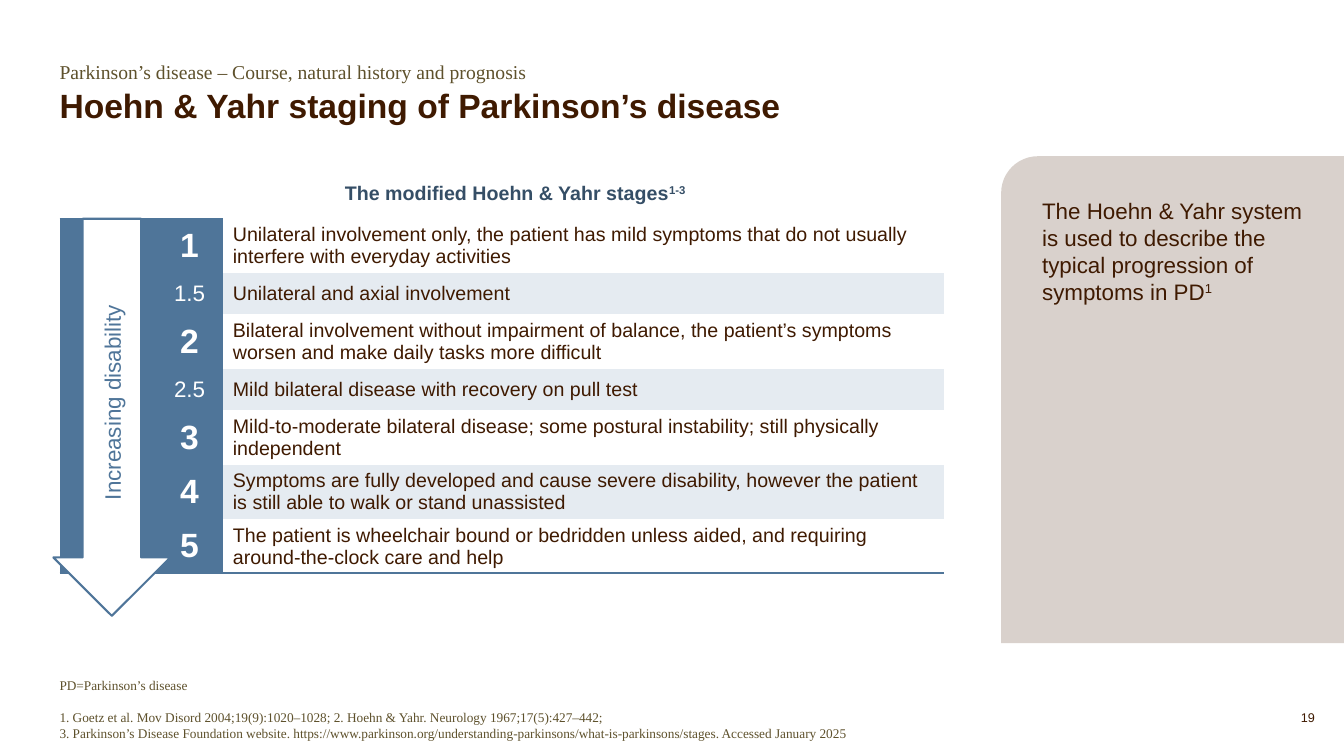
from dataclasses import dataclass

from lxml.etree import SubElement
from pptx import Presentation
from pptx.dml.color import RGBColor
from pptx.enum.shapes import MSO_SHAPE as Preset
from pptx.enum.text import MSO_ANCHOR as Anchor, PP_ALIGN as Align
from pptx.oxml import parse_xml
from pptx.oxml.ns import nsdecls, qn
from pptx.util import Pt

PX = 9144  # one px is a hundredth of an inch


@dataclass(frozen=True)
class Theme:
    sans: str = "Arial"
    serif: str = "Times New Roman"
    brown: str = "3F1A01"
    olive: str = "5E512C"
    navy: str = "354E66"
    blue: str = "4F7599"
    pale: str = "E5EBF1"
    sand: str = "D9D1CC"
    white: str = "FFFFFF"
    title: int = 24
    large: int = 16
    body: int = 14
    note: float = 9.5
    page: int = 9
    rule: float = 1.5


THEME = Theme()
NO_GRID_STYLE = "{2D5ABB26-0587-4C30-8999-92F81FD0307C}"
ONE_LINE, TWO_LINES = 41, 54
# label, description, row height
STAGES = [
    ("1", "Unilateral involvement only, the patient has mild symptoms that do not usually "
          "interfere with everyday activities", TWO_LINES),
    ("1.5", "Unilateral and axial involvement", ONE_LINE),
    ("2", "Bilateral involvement without impairment of balance, the patient’s symptoms "
          "worsen and make daily tasks more difficult", TWO_LINES),
    ("2.5", "Mild bilateral disease with recovery on pull test", ONE_LINE),
    ("3", "Mild-to-moderate bilateral disease; some postural instability; still physically "
          "independent", TWO_LINES),
    ("4", "Symptoms are fully developed and cause severe disability, however the patient "
          "is still able to walk or stand unassisted", TWO_LINES),
    ("5", "The patient is wheelchair bound or bedridden unless aided, and requiring "
          "around-the-clock care and help", TWO_LINES),
]
REFERENCES = [
    "1. Goetz et al. Mov Disord 2004;19(9):1020–1028; 2. Hoehn & Yahr. Neurology "
    "1967;17(5):427–442;",
    "3. Parkinson’s Disease Foundation website. https://www.parkinson.org/understanding-"
    "parkinsons/what-is-parkinsons/stages. Accessed January 2025",
]


def color(value):
    return RGBColor.from_string(value)


def emu(*lengths):
    return [length * PX for length in lengths]


def add_run(paragraph, text, size, ink, font=THEME.sans, bold=False, raised=False):
    run = paragraph.add_run()
    run.text = text
    run.font.size = Pt(size)
    run.font.name = font
    run.font.bold = bold
    run.font.color.rgb = color(ink)
    if raised:
        run.font._element.set("baseline", "30000")


def set_frame(frame, inset=0, anchor=Anchor.TOP):
    frame.word_wrap = True
    frame.vertical_anchor = anchor
    frame.margin_left = frame.margin_right = inset * PX
    frame.margin_top = frame.margin_bottom = inset * PX
    return frame.paragraphs[0]


def add_text(slide, box, anchor=Anchor.TOP):
    frame = slide.shapes.add_textbox(*emu(*box)).text_frame
    return frame, set_frame(frame, anchor=anchor)


def add_preset(slide, preset, box, fill):
    shape = slide.shapes.add_shape(preset, *emu(*box))
    shape.shadow.inherit = False
    shape.fill.solid()
    shape.fill.fore_color.rgb = color(fill)
    return shape


def add_header(slide, left, top, width):
    _, subtitle = add_text(slide, (left, top, width, 29))
    add_run(subtitle, "Parkinson’s disease – Course, natural history and prognosis",
            THEME.body, THEME.olive, THEME.serif)
    _, title = add_text(slide, (left, top + 30, width, 36), Anchor.BOTTOM)
    title.line_spacing = 0.9
    add_run(title, "Hoehn & Yahr staging of Parkinson’s disease",
            THEME.title, THEME.brown, bold=True)


def add_side_panel(slide, left, top, width, height):
    panel = add_preset(slide, Preset.SNIP_ROUND_RECTANGLE, (left, top, width, height), THEME.sand)
    panel.line.fill.background()
    panel.adjustments[0] = 0.107
    panel.adjustments[1] = 0
    paragraph = set_frame(panel.text_frame, inset=30)
    paragraph.alignment = Align.LEFT
    add_run(paragraph, "The Hoehn & Yahr system is used to describe the typical progression "
            "of symptoms in PD", THEME.large, THEME.brown)
    add_run(paragraph, "1", THEME.large, THEME.brown, raised=True)


def add_border(cell, side):
    line = parse_xml(f'<a:{side} {nsdecls("a")} w="{Pt(THEME.rule)}"><a:solidFill>'
                     f'<a:srgbClr val="{THEME.blue}"/></a:solidFill></a:{side}>')
    cell._tc.get_or_add_tcPr().insert(0, line)


def fill_cell(cell, fill):
    cell.fill.solid()
    cell.fill.fore_color.rgb = color(fill)
    cell.vertical_anchor = Anchor.MIDDLE
    cell.margin_top = cell.margin_bottom = 3 * PX
    return cell.text_frame.paragraphs[0]


def add_stage_table(slide, left, top):
    widths = (96, 66, 715)
    height = sum(stage[2] for stage in STAGES)
    frame = slide.shapes.add_table(len(STAGES), len(widths), *emu(left, top, sum(widths), height))
    table = frame.table
    table.first_row = table.horz_banding = False
    table._tbl.tblPr.find(qn("a:tableStyleId")).text = NO_GRID_STYLE
    for column, width in zip(table.columns, widths):
        column.width = width * PX
    for index, (label, description, row_height) in enumerate(STAGES):
        table.rows[index].height = row_height * PX
        arrow_cell, label_cell, text_cell = table.rows[index].cells
        fill_cell(arrow_cell, THEME.blue)
        paragraph = fill_cell(label_cell, THEME.blue)
        paragraph.alignment = Align.CENTER
        whole = "." not in label
        add_run(paragraph, label, THEME.title if whole else THEME.large, THEME.white, bold=whole)
        striped = index in (1, 3, 5)
        paragraph = fill_cell(text_cell, THEME.pale if striped else THEME.white)
        add_run(paragraph, description, THEME.body, THEME.brown)
    # Rules above the stage columns and below the last row
    for cell in list(table.rows[0].cells)[:2]:
        add_border(cell, "lnT")
    for cell in table.rows[len(STAGES) - 1].cells:
        add_border(cell, "lnB")


def add_staging(slide, left, top):
    # Table heading
    _, heading = add_text(slide, (left, top, 904, 34), Anchor.MIDDLE)
    heading.alignment = Align.CENTER
    add_run(heading, "The modified Hoehn & Yahr stages", THEME.body, THEME.navy, bold=True)
    add_run(heading, "1-3", THEME.body, THEME.navy, bold=True, raised=True)
    add_stage_table(slide, left, top + 43)
    # Disability arrow
    arrow = add_preset(slide, Preset.DOWN_ARROW, (left - 6, top + 43, 116, 394), THEME.white)
    arrow.line.color.rgb = color(THEME.blue)
    arrow.line.width = Pt(THEME.rule)
    paragraph = set_frame(arrow.text_frame, inset=5, anchor=Anchor.MIDDLE)
    arrow.text_frame._txBody.bodyPr.set("vert", "vert270")
    paragraph.alignment = Align.CENTER
    add_run(paragraph, "Increasing disability", THEME.large, THEME.blue)


def add_footer(slide, left, top, width, height):
    frame, abbreviation = add_text(slide, (left, top, width, height), Anchor.BOTTOM)
    add_run(abbreviation, "PD=Parkinson’s disease", THEME.note, THEME.olive, THEME.serif)
    sources = frame.add_paragraph()
    sources.space_before = Pt(11)
    for index, reference in enumerate(REFERENCES):
        if index:
            sources.add_line_break()
        add_run(sources, reference, THEME.note, THEME.olive, THEME.serif)
    # Page number
    _, page = add_text(slide, (1239, top + 37, 65, 17))
    page.alignment = Align.RIGHT
    add_run(page, "19", THEME.page, THEME.brown)


def main():
    presentation = Presentation()
    presentation.slide_width, presentation.slide_height = emu(1333, 750)
    slide = presentation.slides.add_slide(presentation.slide_layouts[6])
    add_side_panel(slide, 993, 155, 340, 483)
    add_header(slide, 59, 59, 1008)
    add_staging(slide, 59, 174)
    add_footer(slide, 59, 667, 1008, 68)
    presentation.save("out.pptx")


if __name__ == "__main__":
    main()
